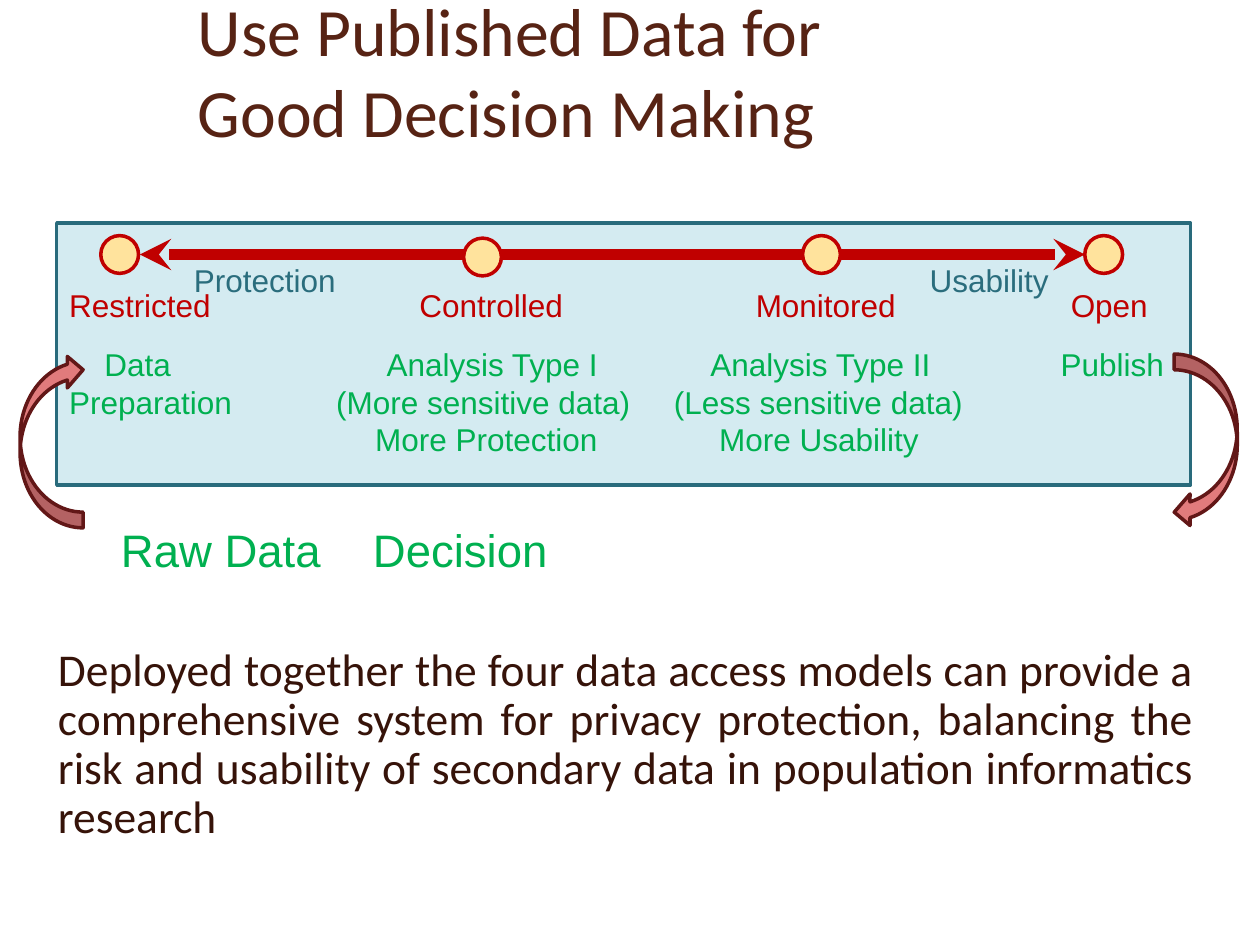
from dataclasses import dataclass

from lxml import etree
from pptx import Presentation
from pptx.dml.color import RGBColor
from pptx.enum.shapes import MSO_CONNECTOR, MSO_SHAPE
from pptx.enum.text import MSO_ANCHOR, MSO_AUTO_SIZE, PP_ALIGN
from pptx.oxml.ns import qn
from pptx.util import Inches, Pt

RECTANGLE, OVAL = MSO_SHAPE.RECTANGLE, MSO_SHAPE.OVAL
CURVED_ARROW = MSO_SHAPE.CURVED_RIGHT_ARROW
STRAIGHT = MSO_CONNECTOR.STRAIGHT
LEFT, JUSTIFY = PP_ALIGN.LEFT, PP_ALIGN.JUSTIFY
TOP, BOTTOM = MSO_ANCHOR.TOP, MSO_ANCHOR.BOTTOM
NO_AUTOFIT = MSO_AUTO_SIZE.NONE

COLORS = {
    "title": "572314", "body": "361309", "green": "00B050", "red": "C00000",
    "teal": "2A6D7D", "panel": "D4EBF1", "panel_line": "296B7C",
    "marker": "FFE39D", "arrow": "E17B7C", "arrow_line": "621717",
}


@dataclass
class Box:
    left: float
    top: float
    width: float
    height: float

    def lengths(self) -> list:
        return [Inches(value) for value in (self.left, self.top, self.width, self.height)]


@dataclass
class Line:
    """A paragraph; tabs are inches from the left edge of the text area."""
    text: str
    size: float
    color: str
    font: str = "Arial"
    tabs: tuple = ()
    format: dict | None = None


def color(name: str) -> RGBColor:
    return RGBColor.from_string(COLORS[name])


def add_shape(slide, kind, box: Box, fill: str, line: str):
    shape = slide.shapes.add_shape(kind, *box.lengths())
    shape.shadow.inherit = False
    shape.fill.solid()
    shape.fill.fore_color.rgb = color(fill)
    shape.line.color.rgb = color(line)
    shape.line.width = Pt(2)
    return shape


def add_double_arrow(slide, start: float, end: float, y: float) -> None:
    connector = slide.shapes.add_connector(
        STRAIGHT, Inches(start), Inches(y), Inches(end), Inches(y))
    connector.line.color.rgb = color("red")
    connector.line.width = Pt(6)
    outline = connector.line._get_or_add_ln()
    for end_name in ("a:headEnd", "a:tailEnd"):
        etree.SubElement(outline, qn(end_name), type="stealth")
    etree.SubElement(connector.element.spPr, qn("a:effectLst"))


def write_lines(text_frame, lines: list[Line]) -> None:
    text_frame.word_wrap = True
    for index, line in enumerate(lines):
        paragraph = text_frame.add_paragraph() if index else text_frame.paragraphs[0]
        paragraph.text = line.text
        for name, value in (line.format or {}).items():
            setattr(paragraph, name, value)
        if line.tabs:
            properties = paragraph._p.get_or_add_pPr()
            tab_list = etree.SubElement(properties, qn("a:tabLst"))
            for position in line.tabs:
                etree.SubElement(tab_list, qn("a:tab"), pos=str(Inches(position)), algn="l")
        for run in paragraph.runs:
            run.font.name = line.font
            run.font.size = Pt(line.size)
            run.font.color.rgb = color(line.color)


def add_text(slide, box: Box, lines: list[Line]) -> None:
    write_lines(slide.shapes.add_textbox(*box.lengths()).text_frame, lines)


def fill_placeholder(placeholder, box: Box, anchor, lines: list[Line]) -> None:
    placeholder.left, placeholder.top, placeholder.width, placeholder.height = box.lengths()
    placeholder.text_frame.auto_size = NO_AUTOFIT
    placeholder.text_frame.vertical_anchor = anchor
    write_lines(placeholder.text_frame, lines)


def main() -> None:
    presentation = Presentation()
    presentation.slide_width, presentation.slide_height = Inches(10), Inches(7.5)
    slide = presentation.slides.add_slide(presentation.slide_layouts[0])

    fill_placeholder(slide.shapes.title, Box(1.47, 0, 8.5, 1.25), BOTTOM, [
        Line("Use Published Data for\vGood Decision Making", 38.7, "title", "Calibri",
             format={"alignment": LEFT}),
    ])

    body = slide.placeholders[1]
    body_format = {"line_spacing": 0.9, "space_before": Pt(6)}
    fill_placeholder(body, Box(0.33, 4.19, 9.25, 2.81), TOP, [
        Line("\tRaw Data\tDecision", 26, "green", tabs=(0.43, 7.02),
             format=body_format | {"alignment": LEFT}),
        Line("Deployed together the four data access models can provide a comprehensive "
             "system for privacy protection, balancing the risk and usability of secondary "
             "data in population informatics research", 26, "body", "Calibri",
             format=body_format | {"alignment": JUSTIFY, "space_before": Pt(40)}),
    ])
    body.text_frame.margin_top = 0
    for paragraph in body.text_frame.paragraphs:
        properties = paragraph._p.get_or_add_pPr()
        properties.set("marL", str(Inches(0.03)))
        properties.set("indent", "0")

    add_shape(slide, RECTANGLE, Box(0.45, 1.77, 9, 2.08), "panel", "panel_line")
    add_double_arrow(slide, 1.11, 8.61, 2.02)

    add_text(slide, Box(0.45, 2.22, 9.17, 1.48), [
        Line("Restricted\tControlled\tMonitored\tOpen", 18, "red",
             tabs=(2.78, 5.45, 7.95), format={"space_after": Pt(12)}),
        Line("\tData\tAnalysis Type I\tAnalysis Type II\tPublish", 18, "green",
             tabs=(0.28, 2.52, 5.09, 7.87)),
        Line("Preparation\t(More sensitive data)\t(Less sensitive data)", 18, "green",
             tabs=(2.12, 4.8)),
        Line("\tMore Protection\tMore Usability", 18, "green", tabs=(2.43, 5.16)),
    ])

    for left, top in ((0.8, 1.87), (8.61, 1.87), (6.37, 1.87), (3.68, 1.89)):
        add_shape(slide, OVAL, Box(left, top, 0.3, 0.3), "marker", "red")

    add_text(slide, Box(1.44, 2.02, 7.3, 0.4), [
        Line("Protection\tUsability", 18, "teal", tabs=(5.84,)),
    ])

    for left, flip in ((0.16, "flipV"), (9.32, "flipH")):
        arrow = add_shape(slide, CURVED_ARROW, Box(left, 2.81, 0.5, 1.38),
                          "arrow", "arrow_line")
        arrow.element.spPr.xfrm.set(flip, "1")

    presentation.save("out.pptx")


if __name__ == "__main__":
    main()
